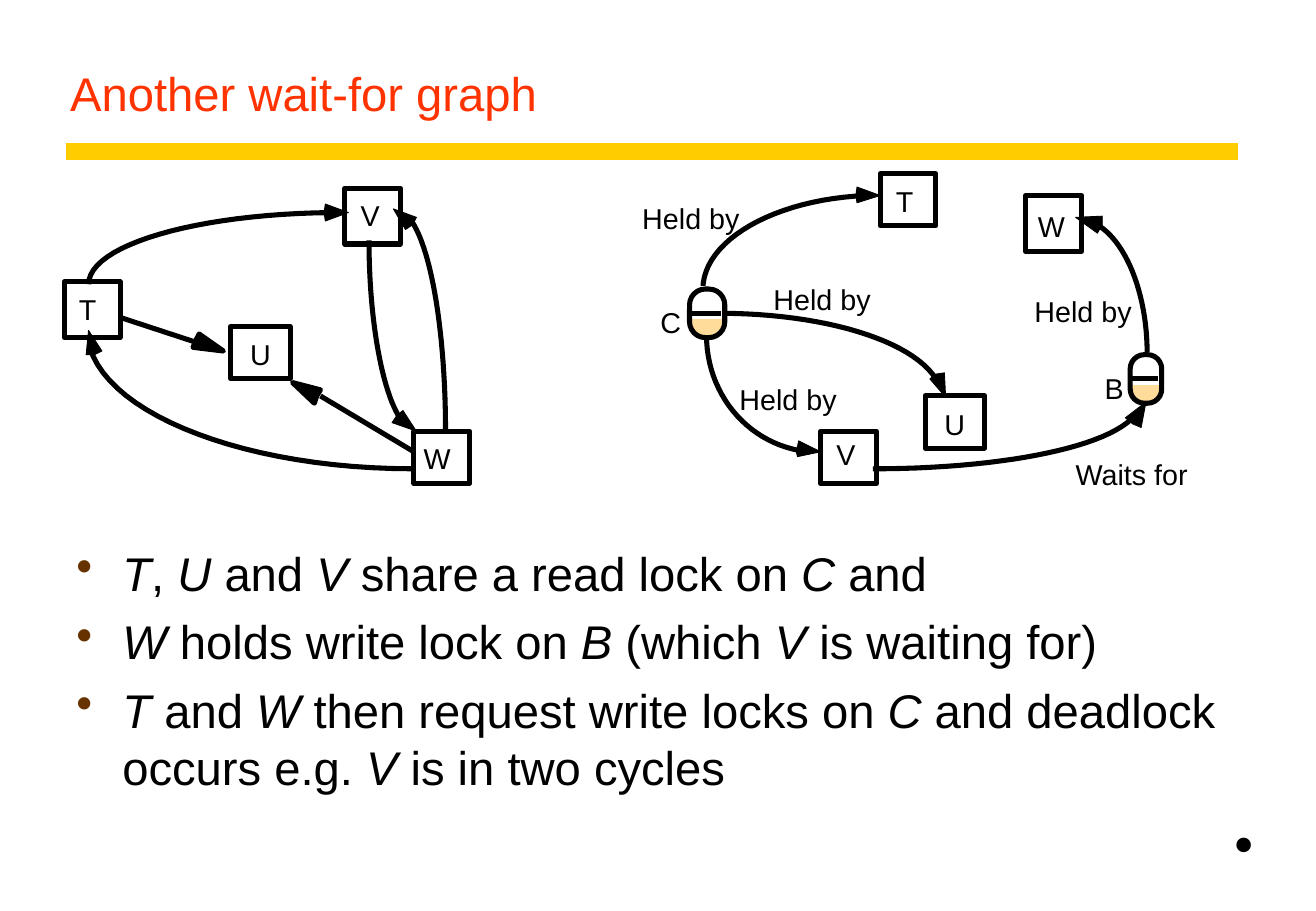
from dataclasses import dataclass

from lxml.etree import SubElement
from pptx import Presentation
from pptx.dml.color import RGBColor
from pptx.enum.shapes import MSO_CONNECTOR, MSO_SHAPE
from pptx.enum.text import MSO_ANCHOR, MSO_AUTO_SIZE
from pptx.oxml.ns import qn
from pptx.util import Emu, Inches, Pt

BLACK = RGBColor(0, 0, 0)
WHITE = RGBColor(255, 255, 255)
RED = RGBColor(0xFF, 0x33, 0x00)
GOLD = RGBColor(0xFF, 0xCC, 0x00)
BROWN = RGBColor(0x66, 0x33, 0x00)
TAN = RGBColor(0xFF, 0xDC, 0x99)

COLS, ROWS = 1084, 750  # the grid that all lengths are counted in
CELL = Inches(0.01)
STEPS = 24
Point = tuple[float, float]


@dataclass
class Label:
    text: str
    x: float
    y: float


@dataclass
class Node:
    label: Label
    x: float
    y: float
    w: float
    h: float


@dataclass
class Lock:
    label: Label
    x: float
    y: float
    w: float


@dataclass
class Arc:
    curve: tuple[Point, Point, Point, Point]
    head: tuple[Point, ...]


@dataclass
class Arrow:
    start: Point
    end: Point
    head: tuple[Point, ...]


NODES = [
    # Left graph
    Node(Label("T", 65, 240), 53, 232, 46, 46),
    Node(Label("U", 206, 277), 190, 269, 49, 43),
    Node(Label("V", 297, 163), 284, 155, 46, 46),
    Node(Label("W", 349, 363), 341, 355, 46, 43),
    # Right graph
    Node(Label("T", 738, 151), 725, 143, 46, 43),
    Node(Label("U", 778, 335), 762, 326, 49, 43),
    Node(Label("V", 689, 360), 676, 355, 46, 43),
    Node(Label("W", 855, 172), 845, 161, 46, 46),
]
LOCKS = [Lock(Label("C", 544, 251), 568, 238, 29), Lock(Label("B", 910, 305), 931, 292, 26)]
NOTES = [
    Label("Held by", 529, 165), Label("Held by", 637, 232), Label("Held by", 609, 314),
    Label("Held by", 852, 242), Label("Waits for", 886, 376),
]
ARCS = [
    # Left graph
    Arc(((73, 234), (73, 202), (161, 176), (274, 175)), ((268, 182), (267, 175), (268, 168), (287, 175))),
    Arc(((340, 386), (205, 386), (91, 343), (74, 286)), ((84, 289), (78, 292), (71, 292), (73, 272))),
    Arc(((367, 355), (367, 277), (356, 207), (339, 182)), ((343, 179), (340, 185), (334, 189), (324, 172))),
    Arc(((304, 198), (304, 264), (315, 323), (330, 345)), ((323, 348), (327, 342), (332, 338), (343, 355))),
    # Right graph
    Arc(((579, 238), (579, 198), (638, 164), (714, 161)), ((706, 167), (705, 161), (706, 154), (725, 161))),
    Arc(((593, 258), (678, 258), (751, 280), (771, 312)), ((766, 312), (771, 308), (778, 307), (779, 327))),
    Arc(((582, 276), (582, 323), (614, 363), (659, 371)), ((657, 376), (656, 372), (658, 363), (676, 372))),
    Arc(((945, 291), (945, 241), (927, 197), (902, 184)), ((908, 178), (908, 185), (904, 192), (886, 179))),
    Arc(((719, 386), (819, 386), (906, 370), (932, 345)), ((940, 352), (933, 349), (927, 344), (944, 331))),
]
ARROWS = [
    Arrow((98, 261), (159, 281), ((161, 281), (164, 275), (184, 289), (159, 286))),
    Arrow((341, 372), (264, 326), ((261, 326), (259, 332), (241, 315), (264, 321))),
]
POINTS = [
    "*T*, *U* and *V* share a read lock on *C* and",
    "*W* holds write lock on *B* (which *V* is waiting for)",
    "*T* and *W* then request write locks on *C* and deadlock occurs e.g. *V* is in two cycles",
]

deck = Presentation()
deck.slide_width, deck.slide_height = COLS * CELL, ROWS * CELL
shapes = deck.slides.add_slide(deck.slide_layouts[6]).shapes


def grid(*cells: float) -> list[Emu]:
    return [Emu(round(n * CELL)) for n in cells]


def paint(shape, fill: RGBColor | None, line: RGBColor | None, width: float = 3) -> None:
    shape.shadow.inherit = False
    if fill is None:
        shape.fill.background()
    else:
        shape.fill.solid()
        shape.fill.fore_color.rgb = fill
    if line is None:
        shape.line.fill.background()
    else:
        shape.line.color.rgb = line
        shape.line.width = Pt(width)


def block(kind: MSO_SHAPE, x: float, y: float, w: float, h: float,
          fill: RGBColor | None, line: RGBColor | None):
    shape = shapes.add_shape(kind, *grid(x, y, w, h))
    paint(shape, fill, line)
    return shape


def link(start: Point, end: Point, color: RGBColor = BLACK, width: float = 3) -> None:
    line = shapes.add_connector(MSO_CONNECTOR.STRAIGHT, *grid(*start, *end))
    line.line.color.rgb = color
    line.line.width = Pt(width)
    SubElement(line._element.spPr, qn("a:effectLst"))


def trace(points: list[Point], close: bool):
    first, *rest = [tuple(grid(*p)) for p in points]
    path = shapes.build_freeform(*first, scale=1.0)
    path.add_line_segments(rest, close=close)
    return path.convert_to_shape()


def bend(curve: tuple[Point, Point, Point, Point]) -> list[Point]:
    def spot(t: float) -> Point:
        s = 1 - t
        parts = (s ** 3, 3 * s * s * t, 3 * s * t * t, t ** 3)
        return (sum(k * p[0] for k, p in zip(parts, curve)),
                sum(k * p[1] for k, p in zip(parts, curve)))
    return [spot(i / STEPS) for i in range(STEPS + 1)]


def write(para, text: str, size: float, color: RGBColor = BLACK, face: str = "Arial") -> None:
    for i, piece in enumerate(text.split("*")):
        if piece:
            run = para.add_run()
            run.text = piece
            run.font.name, run.font.size = face, Pt(size)
            run.font.color.rgb = color
            run.font.italic = i % 2 == 1


def panel(x: float, y: float, w: float, h: float, wrap: bool = True):
    frame = shapes.add_textbox(*grid(x, y, w, h)).text_frame
    frame.word_wrap = wrap
    return frame


def tag(label: Label) -> None:
    frame = panel(label.x, label.y, 11 * len(label.text) + 5, 28, wrap=False)
    frame.margin_left = frame.margin_right = frame.margin_top = frame.margin_bottom = 0
    frame.auto_size = MSO_AUTO_SIZE.SHAPE_TO_FIT_TEXT
    write(frame.paragraphs[0], label.text, 17)


def draw_lock(lock: Lock) -> None:
    def shell(fill: RGBColor | None, line: RGBColor | None) -> None:
        block(MSO_SHAPE.ROUNDED_RECTANGLE, lock.x, lock.y, lock.w, 40, fill, line).adjustments[0] = 0.45
    shell(TAN, None)
    block(MSO_SHAPE.RECTANGLE, lock.x, lock.y, lock.w, 23, WHITE, WHITE)
    shell(None, BLACK)
    link((lock.x, lock.y + 20), (lock.x + lock.w - 3, lock.y + 20))
    tag(lock.label)


# Title and rule
link((54, 125), (1020, 125), GOLD, 10)
title = panel(48, 25, 972, 80)
title.vertical_anchor = MSO_ANCHOR.BOTTOM
title.paragraphs[0].line_spacing = 0.9
write(title.paragraphs[0], "Another wait-for graph", 28, RED)

# Bullet points
body = panel(53, 443, 969, 221)
for i, text in enumerate(POINTS):
    para = body.add_paragraph() if i else body.paragraphs[0]
    props = para._p.get_or_add_pPr()
    props.set("marL", str(Inches(0.38)))
    props.set("indent", str(-Inches(0.38)))
    SubElement(SubElement(props, qn("a:buClr")), qn("a:srgbClr")).set("val", str(BROWN))
    SubElement(props, qn("a:buChar")).set("char", "•")
    if i:
        para.space_before = Pt(7)
    write(para, text, 28)

# Both graphs
for node in NODES:
    block(MSO_SHAPE.RECTANGLE, node.x, node.y, node.w, node.h, WHITE, BLACK)
    tag(node.label)
for arc in ARCS:
    paint(trace(bend(arc.curve), close=False), None, BLACK)
    paint(trace(arc.head, close=True), BLACK, BLACK, 0.5)
for arrow in ARROWS:
    link(arrow.start, arrow.end)
    paint(trace(arrow.head, close=True), BLACK, BLACK)
for lock in LOCKS:
    draw_lock(lock)
for note in NOTES:
    tag(note)

# End mark
write(panel(1006, 658, 37, 70, wrap=False).paragraphs[0], "•", 36, face="Times New Roman")

deck.save("out.pptx")
